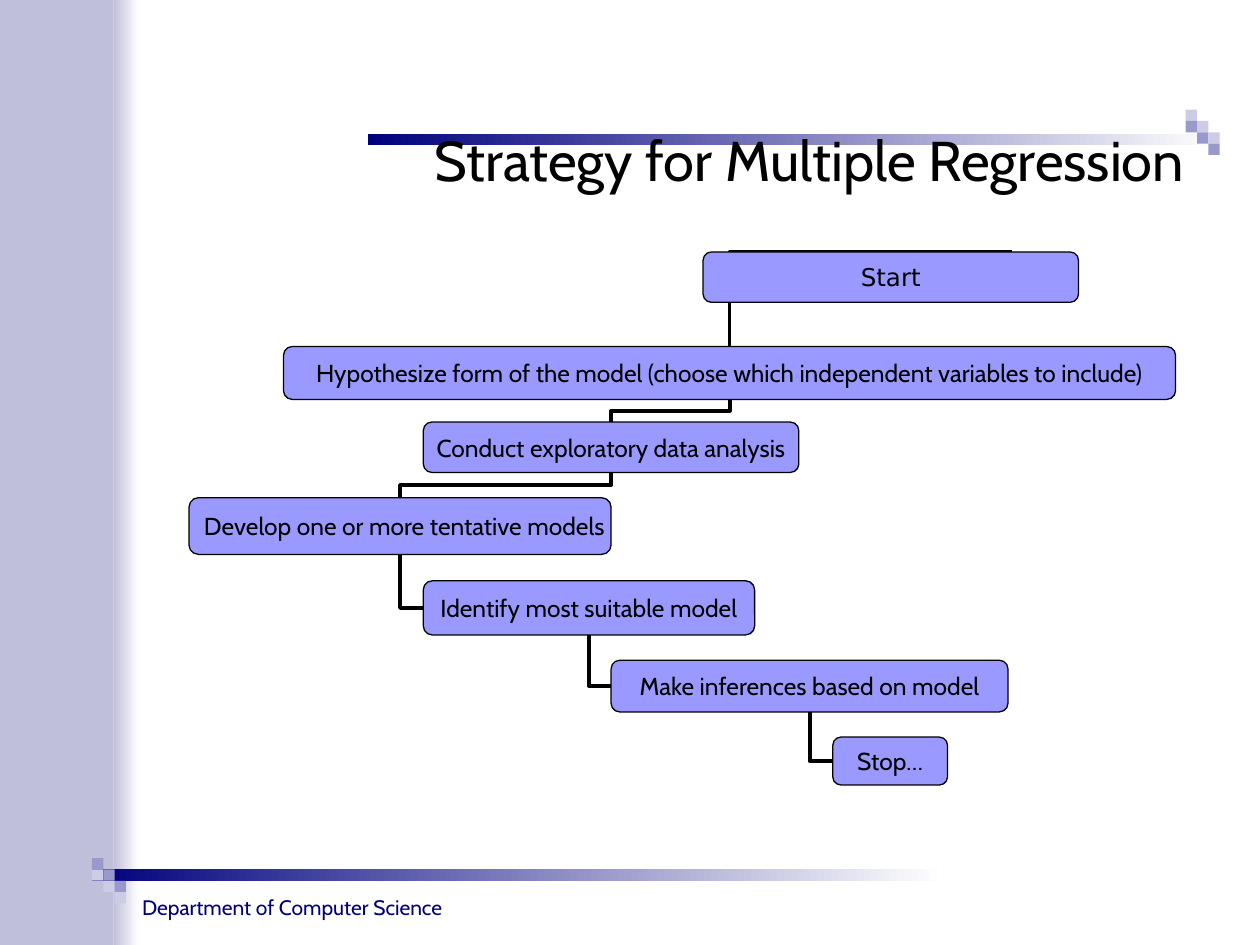
from itertools import pairwise

from pptx import Presentation
from pptx.dml.color import RGBColor
from pptx.enum.shapes import MSO_CONNECTOR, MSO_SHAPE
from pptx.enum.text import MSO_ANCHOR, PP_ALIGN
from pptx.oxml.ns import qn
from pptx.util import Inches, Pt
from lxml import etree

RECT, ROUNDED = MSO_SHAPE.RECTANGLE, MSO_SHAPE.ROUNDED_RECTANGLE
ELBOW = MSO_CONNECTOR.ELBOW
MIDDLE, BOTTOM = MSO_ANCHOR.MIDDLE, MSO_ANCHOR.BOTTOM
CENTER, RIGHT = PP_ALIGN.CENTER, PP_ALIGN.RIGHT

WIDTH, HEIGHT = 10, 7.5
COLORS = {
    "band": "BFBFDA", "navy": "00007D", "white": "FFFFFF", "black": "000000",
    "light": "CCCCE6", "dark": "9999CC", "step": "9999FF",
}
FONT = "Cabin"

TITLE = "Strategy for Multiple Regression"
DEPARTMENT = "Department of Computer Science"
STEPS = [
    ("Start", (5.58, 2, 2.98, 0.4), {"font": "DejaVu Sans"}),
    ("Hypothesize form of the model (choose which independent variables to include)",
     (2.25, 2.75, 7.08, 0.42), {}),
    ("Conduct exploratory data analysis", (3.36, 3.35, 2.98, 0.4), {}),
    ("Develop one or more tentative models", (1.5, 3.95, 3.35, 0.45), {"indent": 0.07}),
    ("Identify most suitable model", (3.36, 4.61, 2.63, 0.43), {}),
    ("Make inferences based on model", (4.85, 5.24, 3.15, 0.41), {}),
    ("Stop…", (6.61, 5.85, 0.91, 0.38), {}),
]
START_LINE_X = 8.03

BAR_WIDTH, SQUARE = 6.76, 0.09
BARS = [
    ((0.73, 6.9), (0.73, 6.81), ("dark", "light")),
    ((2.92, 1.06), (9.41, 0.87), ("light", "dark")),
]

prs = Presentation()
prs.slide_width, prs.slide_height = Inches(WIDTH), Inches(HEIGHT)
slide = prs.slides.add_slide(prs.slide_layouts[6])


def rgb(name):
    return RGBColor.from_string(COLORS[name])


def add_block(box, color, fade_to=None, outline=None, kind=RECT):
    block = slide.shapes.add_shape(kind, *map(Inches, box))
    block.shadow.inherit = False
    if fade_to:
        block.fill.gradient()
        block.fill.gradient_angle = 0
        for stop, name in zip(block.fill.gradient_stops, (color, fade_to)):
            stop.color.rgb = rgb(name)
    else:
        block.fill.solid()
        block.fill.fore_color.rgb = rgb(color)
    if outline:
        block.line.color.rgb = rgb(outline)
        block.line.width = Pt(0.75)
    else:
        block.line.fill.background()
    return block


def write(holder, text, size=14, font=FONT, color="black", align=CENTER,
          anchor=MIDDLE, wrap=False, inset=(0.04, 0.02), indent=0):
    frame = holder.text_frame
    frame.word_wrap = wrap
    frame.vertical_anchor = anchor
    frame.margin_left = Inches(inset[0] + indent)
    frame.margin_right = Inches(inset[0])
    frame.margin_top = frame.margin_bottom = Inches(inset[1])
    paragraph = frame.paragraphs[0]
    paragraph.alignment = align
    run = paragraph.add_run()
    run.text = text
    run.font.size, run.font.name = Pt(size), font
    run.font.color.rgb = rgb(color)


def add_label(box, text, **style):
    write(slide.shapes.add_textbox(*map(Inches, box)), text, inset=(0.1, 0.05), **style)


def add_elbow(begin, end, preset, turn):
    elbow = slide.shapes.add_connector(ELBOW, *map(Inches, begin + end))
    elbow.line.color.rgb = rgb("black")
    elbow.line.width = Pt(2.25)
    properties = elbow._element.spPr
    properties.find(qn("a:prstGeom")).set("prst", preset)
    properties.find(qn("a:xfrm")).set("rot", str(turn * 60000))
    etree.SubElement(properties, qn("a:effectLst"))


def link(parent, child):
    x, y, width, height = parent
    left, top, child_width, child_height = child
    out_x, out_y = x + width / 2, y + height
    if left > out_x:
        add_elbow((out_x, out_y), (left, top + child_height / 2), "bentConnector2", 180)
        return
    in_x = left + child_width / 2
    mid_x, mid_y = (out_x + in_x) / 2, (out_y + top) / 2
    half_drop, half_run = (top - out_y) / 2, (out_x - in_x) / 2
    add_elbow((mid_x - half_drop, mid_y - half_run),
              (mid_x + half_drop, mid_y + half_run), "bentConnector3", 90)


add_block((0.9, 0, 0.2, HEIGHT), "band", fade_to="white")
add_block((0, 0, 0.9, HEIGHT), "band")

for (bar_x, bar_y), (left, top), shades in BARS:
    add_block((bar_x, bar_y, BAR_WIDTH, SQUARE), "navy", fade_to="white")
    for step in range(3):
        for drop, shade in enumerate(shades):
            add_block((left + step * SQUARE, top + (step + drop) * SQUARE, SQUARE, SQUARE),
                      shade)

add_label((0.91, 7.05, 2.82, 0.3), DEPARTMENT, size=12, color="navy")
add_label((1.5, 0.33, 8, 1.25), TITLE, size=32, align=RIGHT, anchor=BOTTOM, wrap=True)

boxes = [box for _, box, _ in STEPS]
first, second = boxes[:2]
add_elbow((second[0] + second[2] / 2, second[1]), (START_LINE_X, first[1]),
          "bentConnector2", 180)
for parent, child in pairwise(boxes[1:]):
    link(parent, child)

for text, box, style in STEPS:
    write(add_block(box, "step", outline="black", kind=ROUNDED), text, **style)

prs.save("out.pptx")
